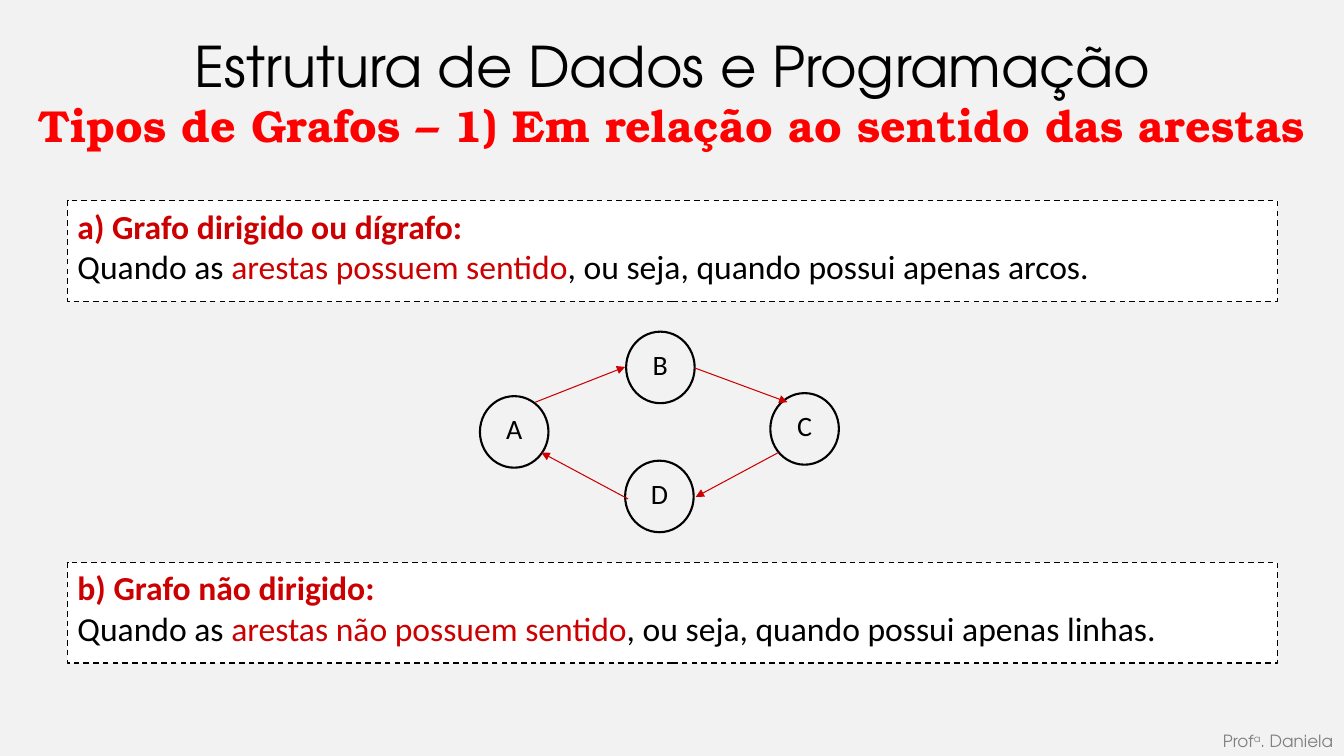
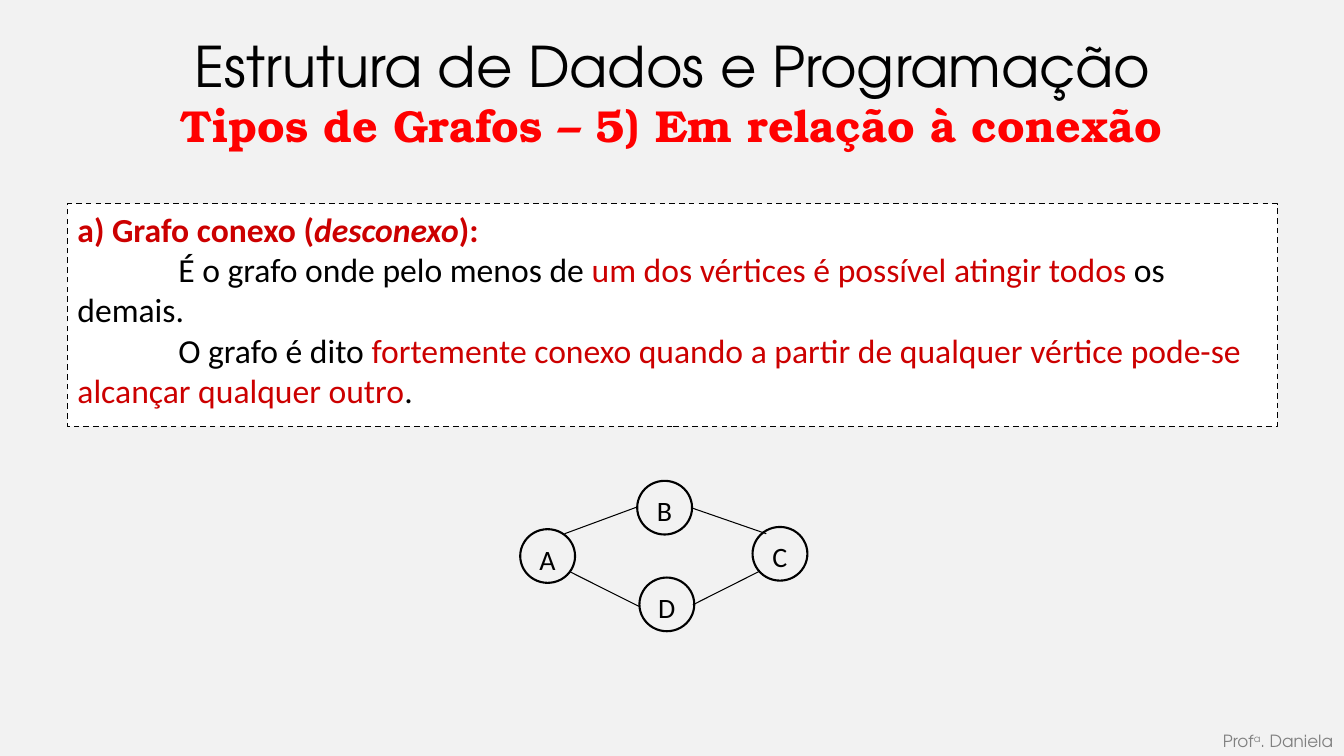
from dataclasses import dataclass
from typing import Any, NamedTuple

from lxml import etree
from pptx import Presentation
from pptx.dml.color import RGBColor
from pptx.enum.dml import MSO_LINE
from pptx.enum.shapes import MSO_CONNECTOR, MSO_SHAPE
from pptx.enum.text import MSO_ANCHOR, PP_ALIGN
from pptx.oxml.ns import qn
from pptx.util import Inches, Pt

DASH = MSO_LINE.DASH
LINE = MSO_CONNECTOR.STRAIGHT
RECT, OVAL = MSO_SHAPE.RECTANGLE, MSO_SHAPE.OVAL
TOP, MIDDLE = MSO_ANCHOR.TOP, MSO_ANCHOR.MIDDLE
LEFT, CENTER, RIGHT = PP_ALIGN.LEFT, PP_ALIGN.CENTER, PP_ALIGN.RIGHT

BLACK, WHITE, GREY, PAPER = "000000", "FFFFFF", "808080", "F2F2F2"
RED, DARK_RED = "FF0000", "CC0000"
BODY, SANS, SERIF = "Calibri", "TeX Gyre Adventor", "TeX Gyre Bonum"


class Box(NamedTuple):
    """A place on the slide, in inches."""
    left: float
    top: float
    width: float
    height: float


class Bit(NamedTuple):
    """A stretch of text in one format; lift raises it, in percent."""
    text: str
    color: str = BLACK
    bold: bool = False
    italic: bool = False
    lift: int = 0


class Para(NamedTuple):
    """A paragraph with its first-line indent, in inches."""
    bits: list[Bit]
    indent: float = 0


class Node(NamedTuple):
    """A vertex, placed from the corner of vertex B."""
    name: str
    x: float
    y: float


class Edge(NamedTuple):
    """An edge, placed from the corner of vertex B."""
    x1: float
    y1: float
    x2: float
    y2: float


@dataclass
class Panel:
    """A dashed box of text."""
    top: float
    height: float
    paras: list[Para]


@dataclass
class Graph:
    """The corner of vertex B, the scale and the style of a graph."""
    left: float
    top: float
    wide: float
    high: float
    color: str
    arrows: bool
    shift: float = 0  # moves vertex D sideways


@dataclass
class Page:
    """What differs from slide to slide."""
    topic: str
    panels: list[Panel]
    graph: Graph


NODE_W, NODE_H = 0.68, 0.71
NODES = [Node("B", 0, 0), Node("D", -0.01, 1.28),
         Node("C", 1.43, 0.61), Node("A", -1.45, 0.64)]
EDGES = [Edge(-0.9, 0.7, -0.01, 0.35), Edge(0.68, 0.36, 1.6, 0.7),
         Edge(1.51, 1.2, 0.69, 1.64), Edge(0.02, 1.66, -0.84, 1.2)]

TITLE = Bit("Estrutura de Dados e Programação")
AUTHOR = [Bit("Prof", GREY), Bit("a", GREY, lift=30), Bit(". Daniela", GREY)]


def head(text: str) -> Bit:
    """Return a bold red heading."""
    return Bit(text, DARK_RED, bold=True)


def key(text: str) -> Bit:
    """Return a red key phrase."""
    return Bit(text, DARK_RED)


PAGES = [
    Page("Tipos de Grafos – 1) Em relação ao sentido das arestas", [
        Panel(1.99, 1, [
            Para([head("a) Grafo dirigido ou dígrafo:")]),
            Para([Bit("Quando as "), key("arestas possuem sentido"),
                  Bit(", ou seja, quando possui apenas arcos.")])]),
        Panel(5.58, 1, [
            Para([head("b) Grafo não dirigido:")]),
            Para([Bit("Quando as "), key("arestas não possuem sentido"),
                  Bit(", ou seja, quando possui apenas linhas.")])]),
    ], Graph(6.21, 3.29, 1, 1, DARK_RED, True)),
    Page("Tipos de Grafos – 5) Em relação à conexão", [
        Panel(2.02, 2.21, [
            Para([head("a) Grafo conexo ("),
                  Bit("desconexo", DARK_RED, True, True), head("):")]),
            Para([Bit("É o grafo onde pelo menos de "),
                  key("um dos vértices é possível atingir todos"),
                  Bit(" os demais.")], 1),
            Para([Bit("O grafo é dito "),
                  key("fortemente conexo quando a partir de qualquer "
                      "vértice pode-se alcançar qualquer outro"),
                  Bit(".")], 1)]),
    ], Graph(6.32, 4.77, 0.8, 0.75, BLACK, False, 0.03)),
]


def rgb(code: str) -> RGBColor:
    """Turn a hex string into a colour."""
    return RGBColor.from_string(code)


def place(box: Box) -> list[int]:
    """Turn a box into lengths."""
    return [Inches(side) for side in box]


def write(shape: Any, paras: list[Para], font: str, size: float,
          align: PP_ALIGN, anchor: MSO_ANCHOR) -> None:
    """Fill a shape with formatted paragraphs."""
    frame = shape.text_frame
    frame.word_wrap = True
    frame.vertical_anchor = anchor
    for i, para in enumerate(paras):
        line = frame.add_paragraph() if i else frame.paragraphs[0]
        line.alignment = align
        if para.indent:
            line._p.get_or_add_pPr().set("indent", str(Inches(para.indent)))
        for bit in para.bits:
            run = line.add_run()
            run.text = bit.text
            run.font.name, run.font.size = font, Pt(size)
            run.font.bold, run.font.italic = bit.bold, bit.italic
            run.font.color.rgb = rgb(bit.color)
            if bit.lift:
                run._r.get_or_add_rPr().set("baseline", str(bit.lift * 1000))


def add_text(slide: Any, box: Box, bits: list[Bit], font: str, size: float,
             align: PP_ALIGN = CENTER, anchor: MSO_ANCHOR = MIDDLE) -> None:
    """Add a text box of one paragraph."""
    shape = slide.shapes.add_textbox(*place(box))
    write(shape, [Para(bits)], font, size, align, anchor)


def outline(parent: Any, kind: MSO_SHAPE, box: Box, width: float) -> Any:
    """Add a hollow shape with a black line."""
    shape = parent.shapes.add_shape(kind, *place(box))
    shape.shadow.inherit = False
    shape.fill.background()
    shape.line.color.rgb = rgb(BLACK)
    shape.line.width = Pt(width)
    return shape


def add_panel(slide: Any, panel: Panel) -> None:
    """Add a white dashed box of text."""
    box = Box(0.67, panel.top, 12, panel.height)
    shape = outline(slide, RECT, box, 1)
    shape.fill.solid()
    shape.fill.fore_color.rgb = rgb(WHITE)
    shape.line.dash_style = DASH
    write(shape, panel.paras, BODY, 24, LEFT, TOP)


def add_edge(group: Any, edge: Edge, graph: Graph) -> None:
    """Add one edge, with an arrowhead where the graph is directed."""
    ends = [graph.left + edge.x1 * graph.wide, graph.top + edge.y1 * graph.high,
            graph.left + edge.x2 * graph.wide, graph.top + edge.y2 * graph.high]
    link = group.shapes.add_connector(LINE, *[Inches(end) for end in ends])
    link.line.color.rgb = rgb(graph.color)
    link.line.width = Pt(0.75)
    if graph.arrows:
        tip = etree.SubElement(link.line._get_or_add_ln(), qn("a:tailEnd"))
        tip.set("type", "triangle")
    etree.SubElement(link._element.spPr, qn("a:effectLst"))


def add_graph(slide: Any, graph: Graph) -> None:
    """Add the vertices and edges as one group."""
    group = slide.shapes.add_group_shape()
    for node in NODES:
        shift = graph.shift if node.name == "D" else 0
        box = Box(graph.left + node.x * graph.wide + shift,
                  graph.top + node.y * graph.high,
                  NODE_W * graph.wide, NODE_H * graph.high)
        shape = outline(group, OVAL, box, 1.5)
        write(shape, [Para([Bit(node.name)])], BODY, 20, CENTER, TOP)
    for edge in EDGES:
        add_edge(group, edge, graph)


def add_page(deck: Any, page: Page) -> None:
    """Add one slide with its titles and footer."""
    slide = deck.slides.add_slide(deck.slide_layouts[6])
    fill = slide.background.fill
    fill.solid()
    fill.fore_color.rgb = rgb(PAPER)
    for panel in page.panels:
        add_panel(slide, panel)
    add_graph(slide, page.graph)
    add_text(slide, Box(9.75, 7.2, 3.57, 0.3), AUTHOR, SANS, 12, RIGHT, TOP)
    add_text(slide, Box(0.67, 0.02, 12, 1.25), [TITLE], SANS, 40)
    topic = Bit(page.topic, RED, bold=True)
    add_text(slide, Box(0.26, 0.92, 12.81, 0.63), [topic], SERIF, 32)


def main() -> None:
    """Build and save the slides."""
    deck = Presentation()
    deck.slide_width, deck.slide_height = Inches(13.33), Inches(7.5)
    for page in PAGES:
        add_page(deck, page)
    deck.save("out.pptx")


main()
